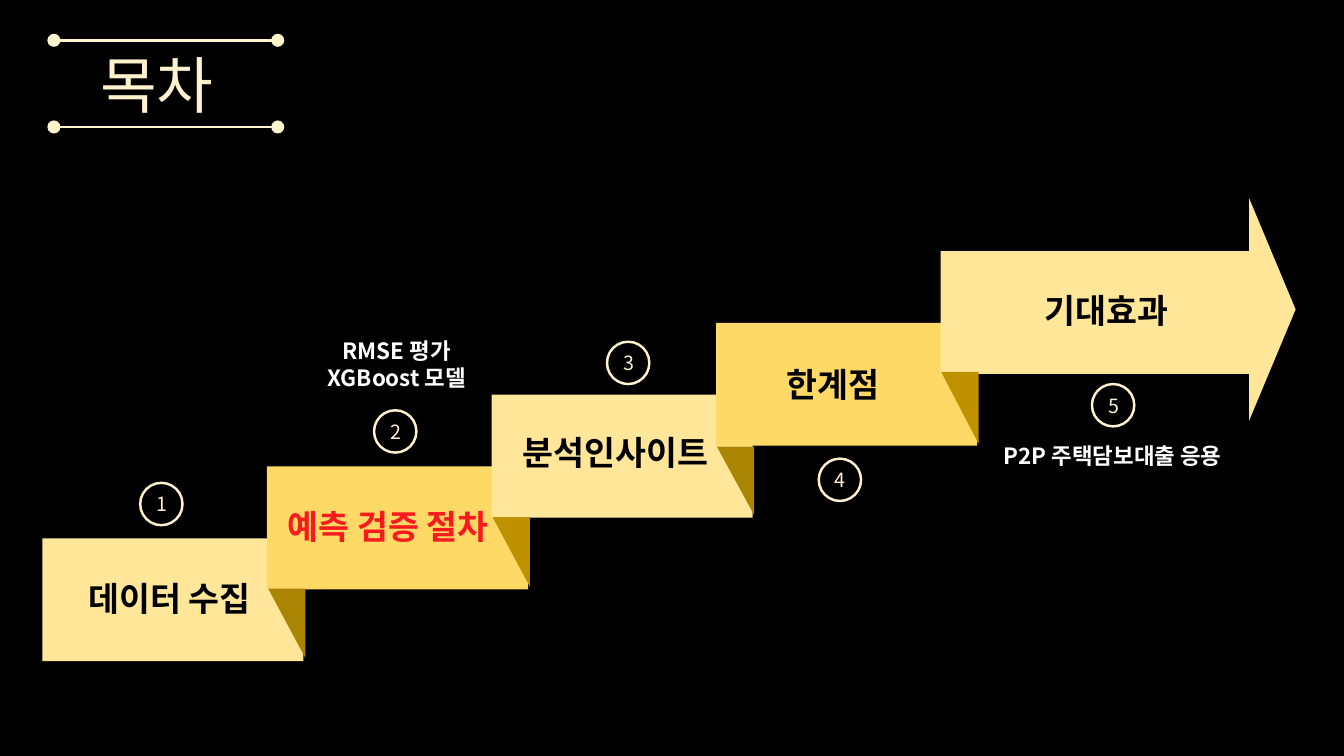
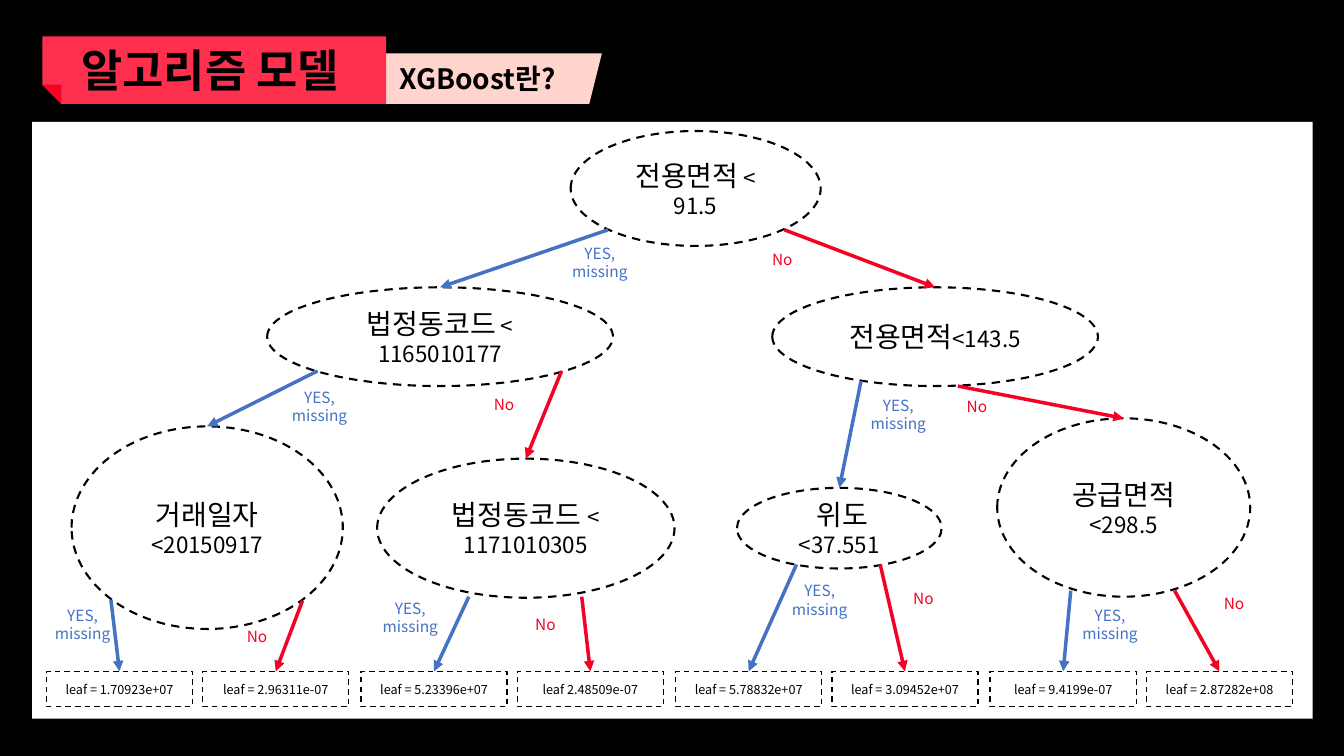
from lxml import etree
from pptx import Presentation
from pptx import util as u
from pptx.dml.color import RGBColor
from pptx.enum import dml, shapes, text
from pptx.oxml.ns import qn

FONT = "Noto Sans CJK KR"
HUES = dict(black="000000", white="FFFFFF", pale="FFE699", gold="FFD966",
            dark="A98503", brown="BF9000", cream="FFF2CC", rule="FFF4CB",
            alert="FA191E", pink="FED4CC", rose="FE304D", red="F50124",
            blue="4472C4")
KIND = shapes.MSO_SHAPE

# Agenda: label, label box (left, top, width), colour, number circle (left, top)
STEPS = [
    ("데이터 수집", (0.59, 5.68, 2.18), "black", (1.39, 4.79)),
    ("예측 검증 절차", (2.62, 4.97, 2.46), "alert", (3.71, 4.07)),
    ("분석인사이트", (4.99, 4.24, 2.23), "black", (6.02, 3.39)),
    ("한계점", (7.15, 3.56, 2.22), "black", (8.12, 4.55)),
    ("기대효과", (9.6, 2.83, 2.75), "black", (10.83, 3.81)),
]
FOLDS = [(5.84, 0.69), (5.13, 0.69), (4.43, 0.68), (3.69, 0.71)]  # top, height
NOTES = [(["RMSE 평가", "XGBoost 모델"], (2.59, 3.3, 2.69, 0.64)),
         (["P2P 주택담보대출 응용"], (9.69, 4.34, 2.69, 0.37))]

# Tree nodes: lines of (name, test), box, then arrow start and answer place
ROOT = ([("전용면적", " < 91.5")], (5.66, 1.3, 2.48, 1.14))
NODES = [
    ([("법정동코드", " < 1165010177")], (2.65, 2.85, 3.43, 0.98), (6.03, 2.28), (5.47, 2.37)),
    ([("전용면적", "<143.5")], (7.66, 2.85, 3.23, 0.98), (7.78, 2.28), (7.28, 2.43)),
    ([("거래일자", ""), ("", "<20150917")], (0.71, 4.23, 2.69, 2.01), (3.15, 3.68), (2.69, 3.8)),
    ([("법정동코드 ", "< 1171010305")], (3.74, 4.55, 2.95, 1.38), (5.57, 3.68), (4.52, 3.87)),
    ([(" 위도 ", "<37.551")], (7.31, 4.84, 2.03, 0.8), (8.54, 3.78), (8.43, 3.88)),
    ([("공급면적", ""), ("", "<298.5")], (9.89, 4.15, 2.51, 1.77), (9.5, 3.83), (9.21, 3.89)),
]
LEAVES = [
    ("leaf = 1.70923e+07", (1.1, 5.95), (0.34, 5.96)),
    ("leaf = 2.96311e-07", (3, 5.96), (2.07, 6.17)),
    ("leaf = 5.23396e+07", (4.65, 5.92), (3.59, 5.89)),
    ("leaf 2.48509e-07", (5.77, 5.92), (4.93, 6.05)),
    ("leaf = 5.78832e+07", (7.9, 5.6), (7.65, 5.72)),
    ("leaf = 3.09452e+07", (8.73, 5.6), (8.68, 5.79)),
    ("leaf = 9.4199e-07", (10.62, 5.86), (10.53, 5.96)),
    ("leaf = 2.87282e+08", (11.65, 5.86), (11.76, 5.84)),
]
ANSWERS = [("YES, missing", "blue", 0.47), ("No", "red", 0.29)]


def rgb(hue):
    return RGBColor.from_string(HUES[hue])


def inch(nums):
    return [u.Inches(n) for n in nums]


def style(font, size, hue, bold=False):
    font.size, font.bold, font.name = u.Pt(size), bold, FONT
    font.color.rgb = rgb(hue)


def east(para):
    """Use the same face for Hangul."""
    for prop in para._p.iter(qn("a:defRPr"), qn("a:rPr")):
        face = etree.Element(qn("a:ea"), typeface=FONT)
        prop.find(qn("a:latin")).addnext(face)


def write(shape, lines, size, hue, bold=False, center=True):
    frame = shape.text_frame
    frame.word_wrap = True
    for i, line in enumerate(lines):
        para = frame.add_paragraph() if i else frame.paragraphs[0]
        para.text = line
        para.alignment = text.PP_ALIGN.CENTER if center else text.PP_ALIGN.LEFT
        style(para.font, size, hue, bold)
        east(para)


def label(slide, box, lines, size, hue, bold=False, center=True):
    write(slide.shapes.add_textbox(*inch(box)), lines, size, hue, bold, center)


def draw(slide, kind, box, fill=None, line=None, width=1.0, dash=False, turn=0):
    shape = slide.shapes.add_shape(kind, *inch(box))
    shape.shadow.inherit = False
    shape.rotation = turn
    if fill:
        shape.fill.solid()
        shape.fill.fore_color.rgb = rgb(fill)
    else:
        shape.fill.background()
    if line:
        shape.line.color.rgb = rgb(line)
        shape.line.width = u.Pt(width)
        if dash:
            shape.line.dash_style = dml.MSO_LINE.DASH
    else:
        shape.line.fill.background()
    shape.text_frame.vertical_anchor = text.MSO_ANCHOR.MIDDLE
    return shape


def link(slide, start, end, hue, width):
    line = slide.shapes.add_connector(shapes.MSO_CONNECTOR.STRAIGHT, *inch(start + end))
    line.line.color.rgb = rgb(hue)
    line.line.width = u.Pt(width)
    etree.SubElement(line._element.spPr, qn("a:effectLst"))
    return line


def page(deck):
    slide = deck.slides.add_slide(deck.slide_layouts[6])
    slide.background.fill.solid()
    slide.background.fill.fore_color.rgb = rgb("black")
    return slide


def agenda(slide):
    # Rising ribbon
    last = len(STEPS) - 1
    for i in range(len(STEPS)):
        box = (0.42 + 2.2275 * i, 5.34 - 0.7125 * i, 3.15 if i == last else 2.59, 1.22)
        draw(slide, KIND.RECTANGLE, box, ("pale", "gold")[i % 2])
    draw(slide, KIND.ISOSCELES_TRIANGLE, (11.52, 2.84, 2.2, 0.46), "pale", turn=90)
    for i, (top, high) in enumerate(FOLDS):
        draw(slide, KIND.RIGHT_TRIANGLE, (2.66 + 2.225 * i, top, 0.37, high),
             ("dark", "brown")[i % 2], turn=180)

    # Labels and numbers
    for i, (name, box, hue, spot) in enumerate(STEPS, 1):
        label(slide, box + (0.5,), [name], 24, hue, True)
        ring = draw(slide, KIND.OVAL, spot + (0.42, 0.42), line="cream", width=1.75)
        write(ring, [str(i)], 14, "cream")
    for lines, box in NOTES:
        label(slide, box, lines, 16, "white", True)

    # Title between two dotted rules
    label(slide, (0.65, 0.42, 1.81, 0.84), ["목차"], 44, "cream")
    for y in (0.4, 1.26):
        link(slide, (0.56, y), (2.78, y), "rule", 1.75)
        for x in (0.47, 2.69):
            draw(slide, KIND.OVAL, (x, y - 0.065, 0.13, 0.13), "rule")


def node(slide, lines, box):
    oval = draw(slide, KIND.OVAL, box, line="black", width=1.5, dash=True)
    frame = oval.text_frame
    frame.word_wrap = True
    for i, parts in enumerate(lines):
        para = frame.add_paragraph() if i else frame.paragraphs[0]
        para.alignment = text.PP_ALIGN.CENTER
        for part, size in zip(parts, (20, 16)):
            if part:
                run = para.add_run()
                run.text = part
                style(run.font, size, "black")
        east(para)
    return oval


def tree(slide):
    # Panel and title ribbon
    draw(slide, KIND.RECTANGLE, (0.32, 1.21, 12.7, 5.92), "white")
    tab = draw(slide, KIND.PARALLELOGRAM, (3.5, 0.53, 2.47, 0.5), "pink")
    write(tab, ["XGBoost란?"], 20, "black", True)
    band = draw(slide, KIND.SNIP_1_RECTANGLE, (0.42, 0.36, 3.41, 0.67), "rose", turn=180)
    band.adjustments[0] = 0.28
    label(slide, (0.71, 0.37, 3.17, 0.64), ["알고리즘 모델"], 32, "black", True, False)
    draw(slide, KIND.RIGHT_TRIANGLE, (0.42, 0.84, 0.19, 0.19), "red", turn=180)

    # Nodes and leaves
    node(slide, *ROOT)
    ends = [(node(slide, lines, box), start, spot) for lines, box, start, spot in NODES]
    for i, (name, start, spot) in enumerate(LEAVES):
        box = (0.46 + 3.12 * (i // 2) + 1.55 * (i % 2), 6.66, 1.45, 0.35)
        leaf = draw(slide, KIND.RECTANGLE, box, line="black", dash=True)
        write(leaf, [name], 9, "black")
        ends.append((leaf, start, spot))

    # Arrows with answers, yes and no in turn
    for i, (child, start, spot) in enumerate(ends):
        answer, hue, high = ANSWERS[i % 2]
        arrow = link(slide, start, start, hue, 2.5)
        arrow.end_connect(child, 0)
        etree.SubElement(arrow.line._get_or_add_ln(), qn("a:tailEnd"), type="triangle")
        label(slide, spot + (0.96, high), [answer], 11, hue)


def main():
    deck = Presentation()
    deck.slide_width, deck.slide_height = inch((13.33, 7.5))
    agenda(page(deck))
    tree(page(deck))
    deck.save("out.pptx")


if __name__ == "__main__":
    main()
